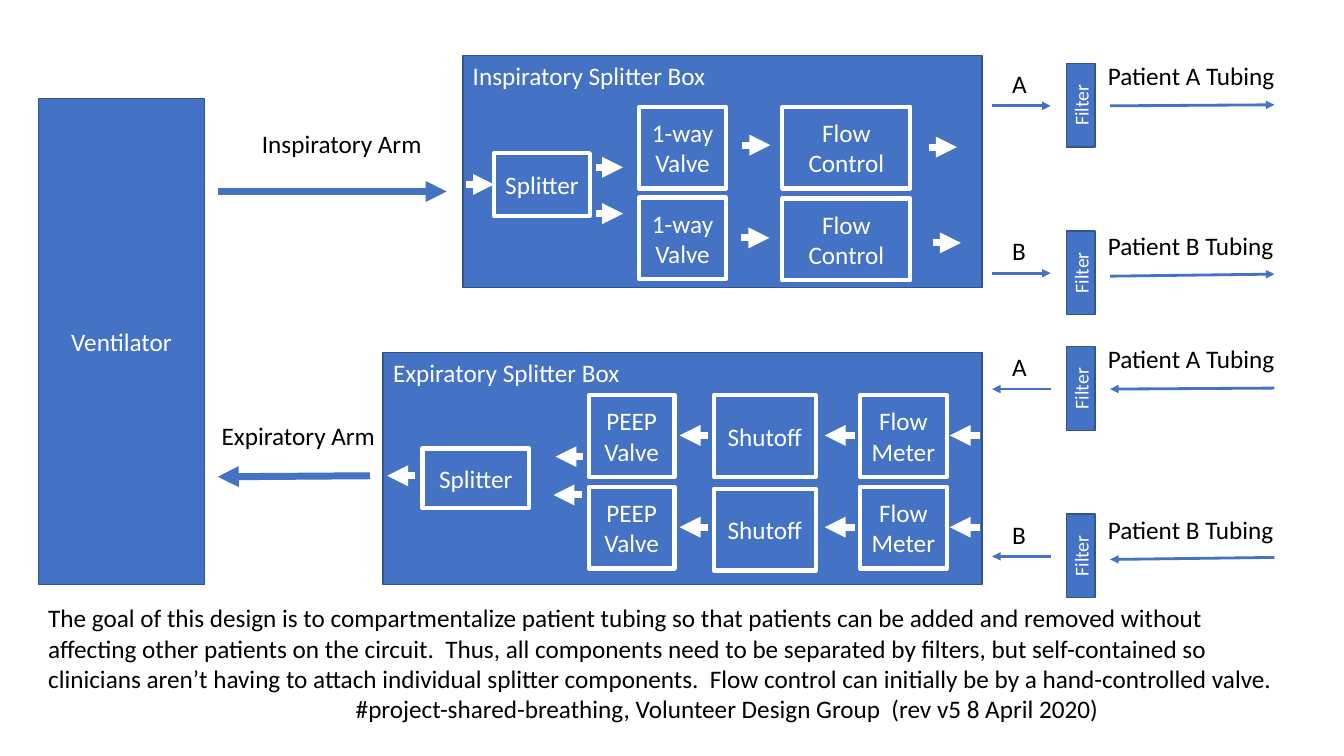
import lxml.etree
import pptx
import pptx.dml.color
import pptx.enum.shapes
import pptx.enum.text
import pptx.oxml.ns
import pptx.util

Inches = pptx.util.Inches
Pt = pptx.util.Pt
qn = pptx.oxml.ns.qn
PP_ALIGN = pptx.enum.text.PP_ALIGN
ANCHOR = pptx.enum.text.MSO_ANCHOR
AUTO_SIZE = pptx.enum.text.MSO_AUTO_SIZE

COLORS = {"blue": "4472C4", "edge": "325491", "white": "FFFFFF", "black": "000000"}
RGB = {name: pptx.dml.color.RGBColor.from_string(value) for name, value in COLORS.items()}

# Format values for each role
BOX = {"color": "white", "size": 18, "edge": "edge", "edge_width": 1,
       "align": PP_ALIGN.CENTER,
       "frame": {"word_wrap": True, "vertical_anchor": ANCHOR.MIDDLE}}
HOUSING = {**BOX, "align": PP_ALIGN.LEFT,
           "frame": {"word_wrap": True, "vertical_anchor": ANCHOR.TOP}}
COMPONENT = {**BOX, "edge": "white", "edge_width": 3}
FILTER = {**BOX, "size": 14}
NOTE = {"color": "black", "size": 18, "align": PP_ALIGN.LEFT,
        "frame": {"word_wrap": True, "auto_size": AUTO_SIZE.SHAPE_TO_FIT_TEXT}}
LABEL = {**NOTE, "frame": {**NOTE["frame"], "word_wrap": False}}


def add_block(shapes, text, left, top, width, height, style):
    """Add a filled box, or a plain text box if the style has no edge."""
    place = [Inches(length) for length in (left, top, width, height)]
    if "edge" in style:
        block = shapes.add_shape(pptx.enum.shapes.MSO_SHAPE.RECTANGLE, *place)
        block.shadow.inherit = False
        block.fill.solid()
        block.fill.fore_color.rgb = RGB["blue"]
        block.line.color.rgb = RGB[style["edge"]]
        block.line.width = Pt(style["edge_width"])
    else:
        block = shapes.add_textbox(*place)
    block.text_frame.text = text
    for name, value in style["frame"].items():
        setattr(block.text_frame, name, value)
    font_format = {"name": "Calibri", "size": Pt(style["size"])}
    for paragraph in block.text_frame.paragraphs:
        paragraph.alignment = style["align"]
        for run in paragraph.runs:
            for name, value in font_format.items():
                setattr(run.font, name, value)
            run.font.color.rgb = RGB[style["color"]]
    return block


def add_arrow(shapes, x1, y1, x2, y2, color, width):
    """Add an arrow pointing the way the air flows."""
    arrow = shapes.add_connector(pptx.enum.shapes.MSO_CONNECTOR.STRAIGHT,
                                 Inches(x1), Inches(y1), Inches(x2), Inches(y2))
    arrow.line.color.rgb = RGB[color]
    arrow.line.width = Pt(width)
    line = arrow.element.spPr.find(qn("a:ln"))
    lxml.etree.SubElement(line, qn("a:tailEnd"), type="triangle")
    lxml.etree.SubElement(arrow.element.spPr, qn("a:effectLst"))


deck = pptx.Presentation()
deck.slide_width = Inches(13.33)
deck.slide_height = Inches(7.5)
canvas = deck.slides.add_slide(deck.slide_layouts[6]).shapes

# Ventilator and its two arms
add_block(canvas, "Ventilator", 0.38, 0.98, 1.65, 4.82, BOX)
add_arrow(canvas, 2.16, 1.9, 4.43, 1.9, "blue", 5)
add_block(canvas, "Inspiratory Arm", 2.5, 1.22, 1.8, 0.4, LABEL)
add_arrow(canvas, 3.67, 4.72, 2.16, 4.73, "blue", 5)
add_block(canvas, "Expiratory Arm", 2.1, 4.12, 1.74, 0.4, LABEL)

# Splitter box housings
add_block(canvas, "Inspiratory Splitter Box", 4.59, 0.55, 5.15, 2.3, HOUSING)
add_block(canvas, "Expiratory Splitter Box", 3.8, 3.5, 5.94, 2.3, HOUSING)

# Patient circuits: filter tops for A and B on each side
PORT = (9.84, 10.42)
TUBING = (11.01, 12.64)
for filter_tops, outward in (((0.63, 2.29), True), ((3.44, 5.1), False)):
    circuit = canvas.add_group_shape().shapes
    patients = zip("AB", filter_tops, (-0.08, -0.05), (0.42, 0.45), (0.41, 0.43))
    for patient, top, label_shift, near_shift, far_shift in patients:
        port_start, port_end = PORT if outward else PORT[::-1]
        tubing = [(TUBING[0], top + near_shift), (TUBING[1], top + far_shift)]
        tubing_start, tubing_end = tubing if outward else tubing[::-1]
        add_arrow(circuit, port_start, top + 0.42, port_end, top + 0.42, "blue", 2)
        add_block(circuit, patient, 9.94, top, 0.34, 0.4, NOTE)
        filter_box = add_block(circuit, "Filter", 10.58, top, 0.28, 0.83, FILTER)
        filter_box.element.find(".//" + qn("a:bodyPr")).set("vert", "vert270")
        add_arrow(circuit, *tubing_start, *tubing_end, "blue", 2)
        add_block(circuit, f"Patient {patient} Tubing",
                  10.89, top + label_shift, 1.87, 0.4, LABEL)

# Components: text, left, width, tops of the upper and lower row
COMPONENTS = [
    ("1-way\nValve", 6.34, 0.86, (1.06, 1.96)),
    ("Flow Control", 7.76, 1.27, (1.06, 1.97)),
    ("PEEP Valve", 5.84, 0.85, (3.92, 4.83)),
    ("Shutoff", 7.08, 1.01, (3.92, 4.85)),
    ("Flow Meter", 8.53, 0.86, (3.92, 4.83)),
]
for component, left, width, row_tops in COMPONENTS:
    for top in row_tops:
        add_block(canvas, component, left, top, width, 0.81, COMPONENT)
add_block(canvas, "Splitter", 4.9, 1.52, 0.95, 0.62, COMPONENT)
add_block(canvas, "Splitter", 4.19, 4.45, 1.06, 0.59, COMPONENT)

# Flow between components: start, end, height
INSPIRATORY_FLOW = [(4.62, 4.9, 1.83), (5.91, 6.18, 1.66), (5.91, 6.18, 2.12),
                    (7.36, 7.64, 1.44), (7.35, 7.63, 2.36),
                    (9.21, 9.49, 1.46), (9.25, 9.53, 2.41)]
EXPIRATORY_FLOW = [(5.78, 5.51, 4.53), (5.77, 5.49, 4.91), (4.12, 3.84, 4.72)]
EXPIRATORY_FLOW += [(start, end, y) for y in (4.32, 5.23)
                    for start, end in ((9.72, 9.42), (8.48, 8.18), (7.02, 6.74))]
for start, end, y in INSPIRATORY_FLOW + EXPIRATORY_FLOW:
    add_arrow(canvas, start, y, end, y, "white", 5)

# Design goal and credit line
GOAL = (
    "The goal of this design is to compartmentalize patient tubing so that patients can be "
    "added and removed without affecting other patients on the circuit.  Thus, all components "
    "need to be separated by filters, but self-contained so clinicians aren’t having to attach "
    "individual splitter components.  Flow control can initially be by a hand-controlled valve."
)
CREDIT = "#project-shared-breathing, Volunteer Design Group  (rev v5 8 April 2020)"
goal = add_block(canvas, GOAL + "\n" + CREDIT, 0.38, 5.93, 12.37, 1.31, NOTE)
credit_format = goal.element.findall(".//" + qn("a:pPr"))[-1]
credit_format.set("marL", str(Inches(3.05)))

deck.save("out.pptx")
